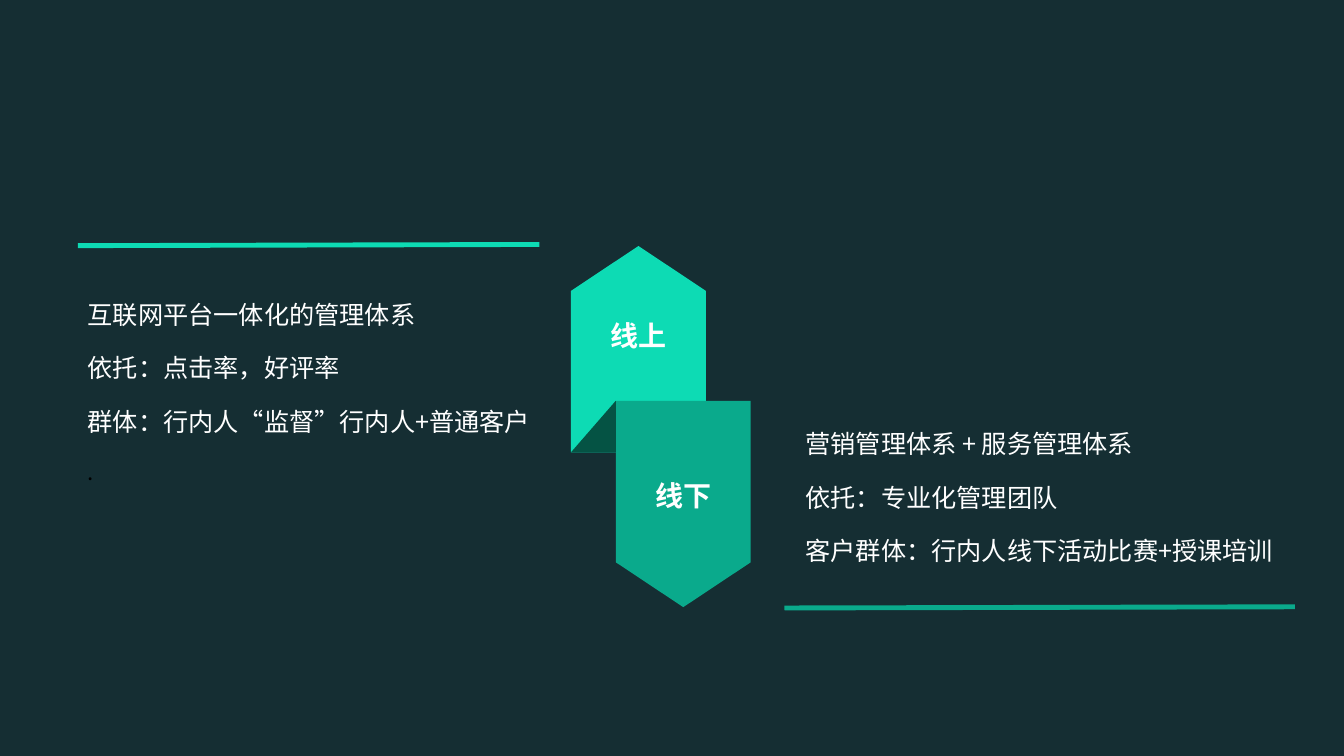
import pptx
import pptx.dml.color
import pptx.enum.shapes
import pptx.enum.text
import pptx.oxml
import pptx.oxml.ns
import pptx.util
from dataclasses import dataclass

Cm, Pt = pptx.util.Cm, pptx.util.Pt
RGB = pptx.dml.color.RGBColor.from_string
ALIGN = pptx.enum.text.PP_ALIGN
ANCHOR = pptx.enum.text.MSO_ANCHOR
SHAPE = pptx.enum.shapes.MSO_SHAPE
CONNECTOR = pptx.enum.shapes.MSO_CONNECTOR


@dataclass
class Theme:
    background: str = "152E33"
    online: str = "0DDBB4"
    offline: str = "0AAA8C"
    fold: str = "055344"
    text: str = "FFFFFF"
    dot: str = "000000"
    font: str = "Noto Sans CJK SC"
    label_size: int = 20
    body_size: int = 18
    dot_size: int = 16
    rule_width: float = 3.5


def apply(obj, values):
    for name, value in values.items():
        setattr(obj, name, value)


class SlideBuilder:
    def __init__(self, slide, theme):
        self.s, self.theme = slide, theme
        fill = slide.background.fill
        fill.solid()
        fill.fore_color.rgb = RGB(theme.background)

    def paint(self, sp, color):
        sp.shadow.inherit = False
        sp.fill.solid()
        sp.fill.fore_color.rgb = RGB(color)
        sp.line.fill.background()

    def frame(self, sp, anchor, insets):
        sides = ("margin_left", "margin_top", "margin_right", "margin_bottom")
        margins = {side: Cm(inset) for side, inset in zip(sides, insets)}
        apply(sp.text_frame, {"word_wrap": True, "vertical_anchor": anchor, **margins})
        return sp.text_frame

    def add_text(self, p, text, size, color, bold=False, **layout):
        apply(p, layout)
        r = p.add_run()
        r.text = text
        apply(r.font, {"name": self.theme.font, "size": Pt(size), "bold": bold})
        r.font.color.rgb = RGB(color)
        # East Asian typeface follows the Latin one
        ea = pptx.oxml.parse_xml(f'<a:ea {pptx.oxml.ns.nsdecls("a")} typeface="{self.theme.font}"/>')
        r.font._element.find(pptx.oxml.ns.qn("a:latin")).addnext(ea)

    def ribbon(self, points, color, label, bottom_inset):
        points = [(Cm(x), Cm(y)) for x, y in points]
        builder = self.s.shapes.build_freeform(*points[0])
        builder.add_line_segments(points[1:], close=True)
        sp = builder.convert_to_shape()
        self.paint(sp, color)
        tf = self.frame(sp, ANCHOR.MIDDLE, (0, 0, 0, bottom_inset))
        self.add_text(tf.paragraphs[0], label, self.theme.label_size, self.theme.text,
                      bold=True, alignment=ALIGN.CENTER, line_spacing=1.1)

    def fold(self, x, y, w, h):
        sp = self.s.shapes.add_shape(SHAPE.RIGHT_TRIANGLE, Cm(x), Cm(y), Cm(w), Cm(h))
        self.paint(sp, self.theme.fold)
        sp._element.spPr.xfrm.set("flipH", "1")

    def body(self, box, anchor, insets, lines):
        sp = self.s.shapes.add_textbox(*map(Cm, box))
        tf = self.frame(sp, anchor, insets)
        for i, (text, size, color) in enumerate(lines):
            p = tf.add_paragraph() if i else tf.paragraphs[0]
            self.add_text(p, text, size, color, alignment=ALIGN.JUSTIFY,
                          line_spacing=1.5, space_after=Pt(6))

    def rule(self, start, end, color):
        cx = self.s.shapes.add_connector(CONNECTOR.STRAIGHT, *map(Cm, (*start, *end)))
        cx.line.color.rgb = RGB(color)
        cx.line.width = Pt(self.theme.rule_width)
        cx._element.spPr.append(pptx.oxml.parse_xml(f'<a:effectLst {pptx.oxml.ns.nsdecls("a")}/>'))


def main():
    prs = pptx.Presentation()
    apply(prs, {"slide_width": Cm(33.87), "slide_height": Cm(19.05)})
    theme = Theme()
    s = SlideBuilder(prs.slides.add_slide(prs.slide_layouts[6]), theme)

    # Two pointed ribbons, the lower one upside down, joined by a fold
    width, height, point = 3.4, 5.2, 1.13
    left, top = 14.39, 6.2
    lower_left, lower_top = 15.52, 10.1
    outline = [(width / 2, 0), (width, point), (width, height), (0, height), (0, point)]
    s.ribbon([(left + x, top + y) for x, y in outline], theme.online, "线上", 0.79)
    s.ribbon([(lower_left + x, lower_top + height - y) for x, y in outline],
             theme.offline, "线下", 0.51)
    s.fold(left, lower_top, lower_left - left, top + height - lower_top)

    # Descriptions
    def body_lines(*texts):
        return [(text, theme.body_size, theme.text) for text in texts]

    s.body((1.96, 6.65, 12.42, 8.18), ANCHOR.TOP, (0.25, 0.5, 0.25, 0.25),
           body_lines("互联网平台一体化的管理体系",
                      "依托：点击率，好评率",
                      "群体：行内人“监督”行内人+普通客户")
           + [(".", theme.dot_size, theme.dot)])
    s.body((20.05, 9.86, 12.57, 4.9), ANCHOR.BOTTOM, (0.25, 0.25, 0.25, 0.5),
           body_lines("营销管理体系 + 服务管理体系",
                      "依托：专业化管理团队",
                      "客户群体：行内人线下活动比赛+授课培训"))

    # Accent rules
    s.rule((32.63, 15.29), (19.77, 15.32), theme.offline)
    s.rule((13.59, 6.16), (1.96, 6.19), theme.online)

    prs.save("out.pptx")


if __name__ == "__main__":
    main()
